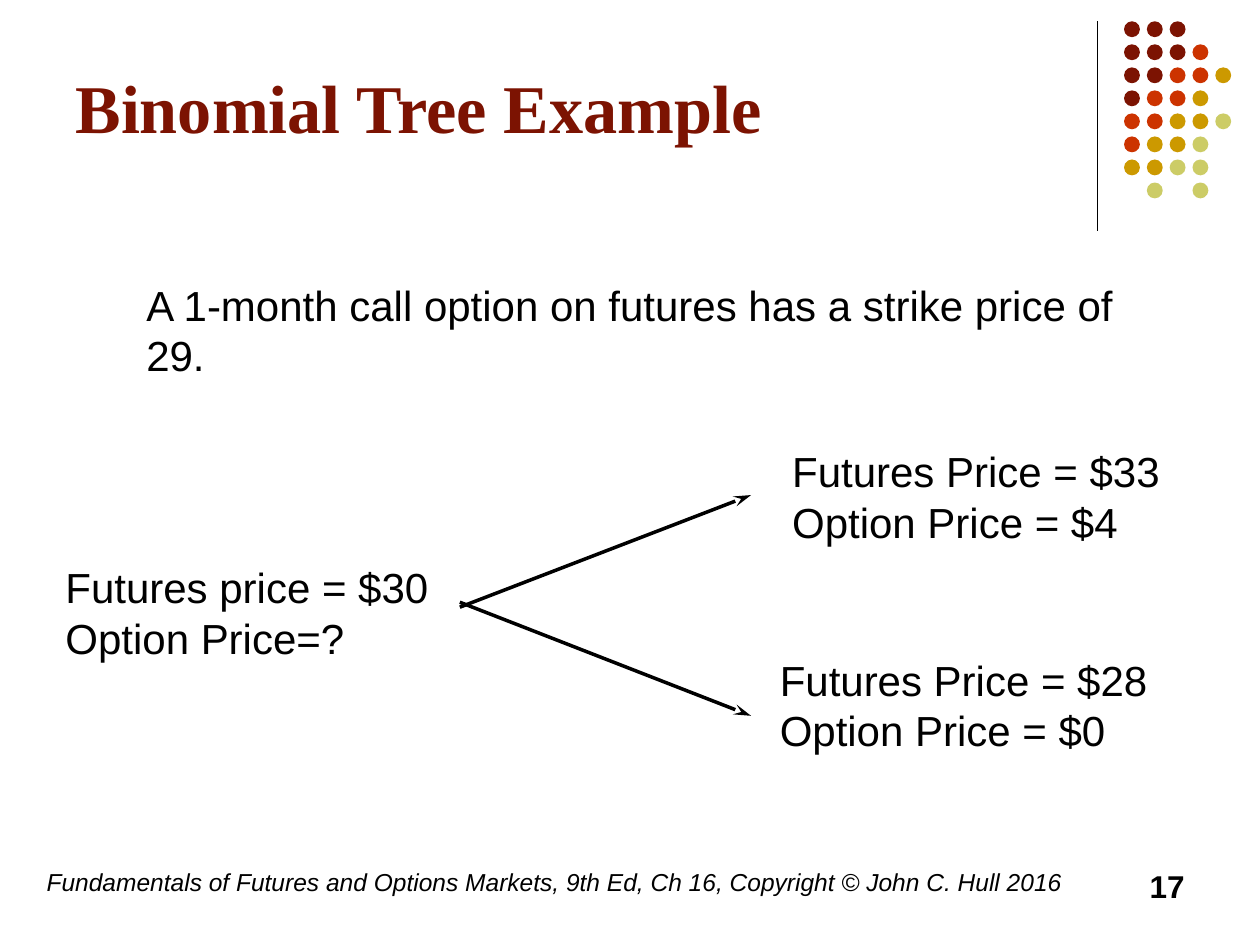
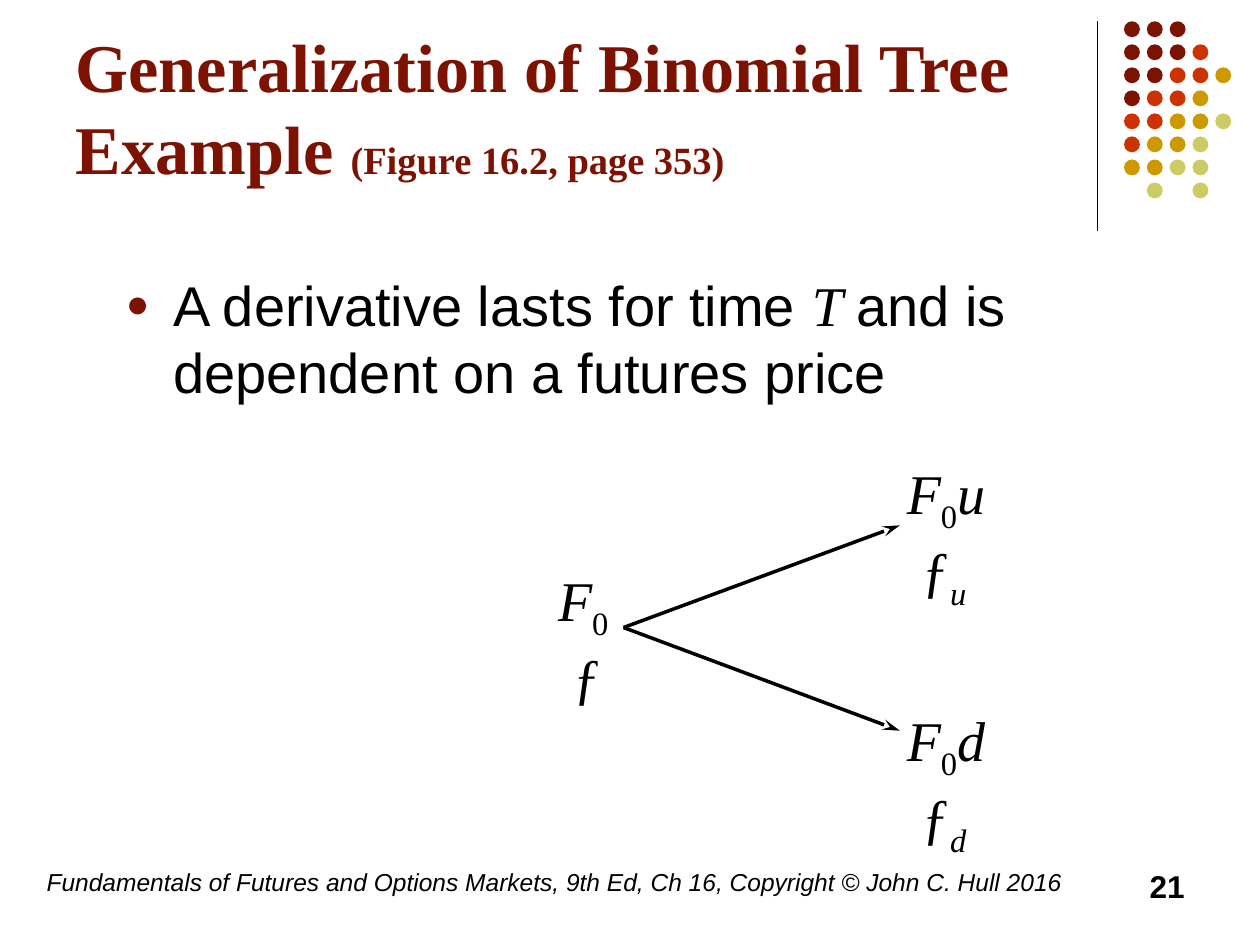
from dataclasses import dataclass

from lxml import etree
from pptx import Presentation
from pptx.dml.color import RGBColor
from pptx.enum import shapes, text
from pptx.oxml import ns
from pptx.util import Cm, Pt


@dataclass(frozen=True)
class Theme:
    sans: str = "Arial"
    serif: str = "Times New Roman"
    ink: str = "000000"
    wine: str = "7C1302"
    red: str = "CC3300"
    gold: str = "CC9900"
    lime: str = "CCCC66"
    title: int = 39
    cite: int = 22
    body: int = 32
    note: int = 24
    page: int = 18
    foot: int = 14


THEME = Theme()
DOTS = ("www", "wwwr", "wwrrg", "wrrg", "rrggl", "rggl", "ggll", " l l")
HUES = {"w": THEME.wine, "r": THEME.red, "g": THEME.gold, "l": THEME.lime}
FOOT = ("Fundamentals of Futures and Options Markets, 9th Ed, Ch 16, "
        "Copyright © John C. Hull 2016")


def tag(parent, name, **attrs):
    node = etree.SubElement(parent, ns.qn(name))
    for key, value in attrs.items():
        node.set(key, str(value))
    return node


def style(font, size, face=THEME.sans, color=THEME.ink, bold=False, italic=False):
    font.name = face
    font.size = Pt(size)
    font.color.rgb = RGBColor.from_string(color)
    font.bold = bold
    font.italic = italic


def add_box(slide, left, top, width, height, wrap=True):
    box = slide.shapes.add_textbox(Cm(left), Cm(top), Cm(width), Cm(height))
    box.text_frame.word_wrap = wrap
    return box.text_frame


def add_lines(slide, spot, lines, size, **look):
    frame = add_box(slide, *spot)
    for i, line in enumerate(lines):
        para = frame.add_paragraph() if i else frame.paragraphs[0]
        para.text = line
        style(para.font, size, **look)
    return frame


def indent(para, margin, first=0):
    props = para._p.get_or_add_pPr()
    props.set("marL", str(Cm(margin)))
    props.set("indent", str(Cm(first)))
    return props


def add_run(para, words, sub=False, **look):
    run = para.add_run()
    run.text = words
    for key, value in look.items():
        setattr(run.font, key, value)
    if sub:
        run._r.get_or_add_rPr().set("baseline", "-25000")


def add_node(slide, left, top, move=""):
    frame = add_box(slide, left, top, 2.4, 2.97)
    price = frame.paragraphs[0]
    value = frame.add_paragraph()
    indent(value, 0.31)
    for para in (price, value):
        style(para.font, THEME.body, THEME.serif)
    add_run(price, "F", italic=True)
    add_run(price, "0", sub=True)
    add_run(value, "ƒ")
    if move:
        add_run(price, move, italic=True)
        add_run(value, move, sub=True, italic=True)


def add_line(slide, start, end, width, arrow=False):
    ends = [Cm(n) for n in (*start, *end)]
    line = slide.shapes.add_connector(shapes.MSO_CONNECTOR.STRAIGHT, *ends)
    line.line.width = Pt(width)
    line.line.color.rgb = RGBColor.from_string(THEME.ink)
    if arrow:
        tag(line.line._get_or_add_ln(), "a:tailEnd", type="stealth", w="med", len="lg")
    tag(line._element.spPr, "a:effectLst")


def add_dots(slide):
    group = slide.shapes.add_group_shape()
    for row, marks in enumerate(DOTS):
        for col, mark in enumerate(marks):
            if mark == " ":
                continue
            dot = group.shapes.add_shape(
                shapes.MSO_SHAPE.OVAL, Cm(22.66 + 0.46 * col),
                Cm(0.43 + 3.25 / 7 * row), Cm(0.32), Cm(0.32))
            dot.shadow.inherit = False
            dot.fill.solid()
            dot.fill.fore_color.rgb = RGBColor.from_string(HUES[mark])
            dot.line.fill.background()


def add_slide(deck, title, page, cite=""):
    slide = deck.slides.add_slide(deck.slide_layouts[5])
    head = slide.shapes.title
    head.left, head.top, head.width, head.height = (
        Cm(n) for n in (1.27, 0.33, 20.96, 3.61))
    frame = head.text_frame
    frame.auto_size = text.MSO_AUTO_SIZE.NONE
    frame.vertical_anchor = text.MSO_ANCHOR.MIDDLE
    para = frame.paragraphs[0]
    para.alignment = text.PP_ALIGN.LEFT
    style(para.font, THEME.title, THEME.serif, THEME.wine, bold=True)
    add_run(para, title)
    if cite:
        add_run(para, cite, size=Pt(THEME.cite))
    add_line(slide, (22.12, 0.43), (22.12, 4.65), 0.75)
    add_dots(slide)
    foot = add_lines(slide, (0.69, 17.35, 21, 1.27), [FOOT], THEME.foot, italic=True)
    foot.word_wrap = False
    number = add_lines(slide, (18.21, 17.35, 5.92, 1.27), [page], THEME.page, bold=True)
    number.paragraphs[0].alignment = text.PP_ALIGN.RIGHT
    return slide


def add_bullet(slide):
    para = add_box(slide, 2.29, 5.33, 20.85, 10.41).paragraphs[0]
    props = indent(para, 0.95, -0.95)
    tag(tag(props, "a:buClr"), "a:srgbClr", val=THEME.wine)
    tag(props, "a:buSzPct", val=70000)
    tag(props, "a:buFont", typeface=THEME.sans)
    tag(props, "a:buChar", char="●")
    style(para.font, THEME.body)
    add_run(para, "A derivative lasts for time ")
    add_run(para, "T ", name=THEME.serif, italic=True)
    add_run(para, "and is dependent on a futures price")


def example(deck):
    slide = add_slide(deck, "Binomial Tree Example", "17")
    intro = add_lines(
        slide, (1.75, 5.51, 21.89, 11.43),
        ["A 1-month call option on futures has a strike price of 29."], THEME.note)
    indent(intro.paragraphs[0], 0.95)
    for spot, lines in (
        ((1.07, 11.2, 8.76, 2.29), ("Futures price = $30", "Option Price=?")),
        ((15.72, 8.86, 8.03, 2.29), ("Futures Price = $33", "Option Price = $4")),
        ((15.47, 13.06, 9.19, 2.29), ("Futures Price = $28", "Option Price = $0")),
    ):
        add_lines(slide, spot, lines, THEME.note)
    add_line(slide, (9.27, 12.24), (15.14, 9.98), 2, arrow=True)
    add_line(slide, (9.27, 12.14), (15.14, 14.43), 2, arrow=True)


def general(deck):
    slide = add_slide(deck, "Generalization of Binomial Tree Example ", "21",
                      "(Figure 16.2, page 353)")
    add_bullet(slide)
    add_node(slide, 11, 11.28)
    add_node(slide, 18.03, 9.12, "u")
    add_node(slide, 18.03, 14.1, "d")
    for rise in (10.59, 14.73):
        add_line(slide, (12.57, 12.65), (18.14, rise), 2, arrow=True)


def main():
    deck = Presentation()
    deck.slide_width, deck.slide_height = Cm(25.4), Cm(19.05)
    example(deck)
    general(deck)
    deck.save("out.pptx")


if __name__ == "__main__":
    main()
